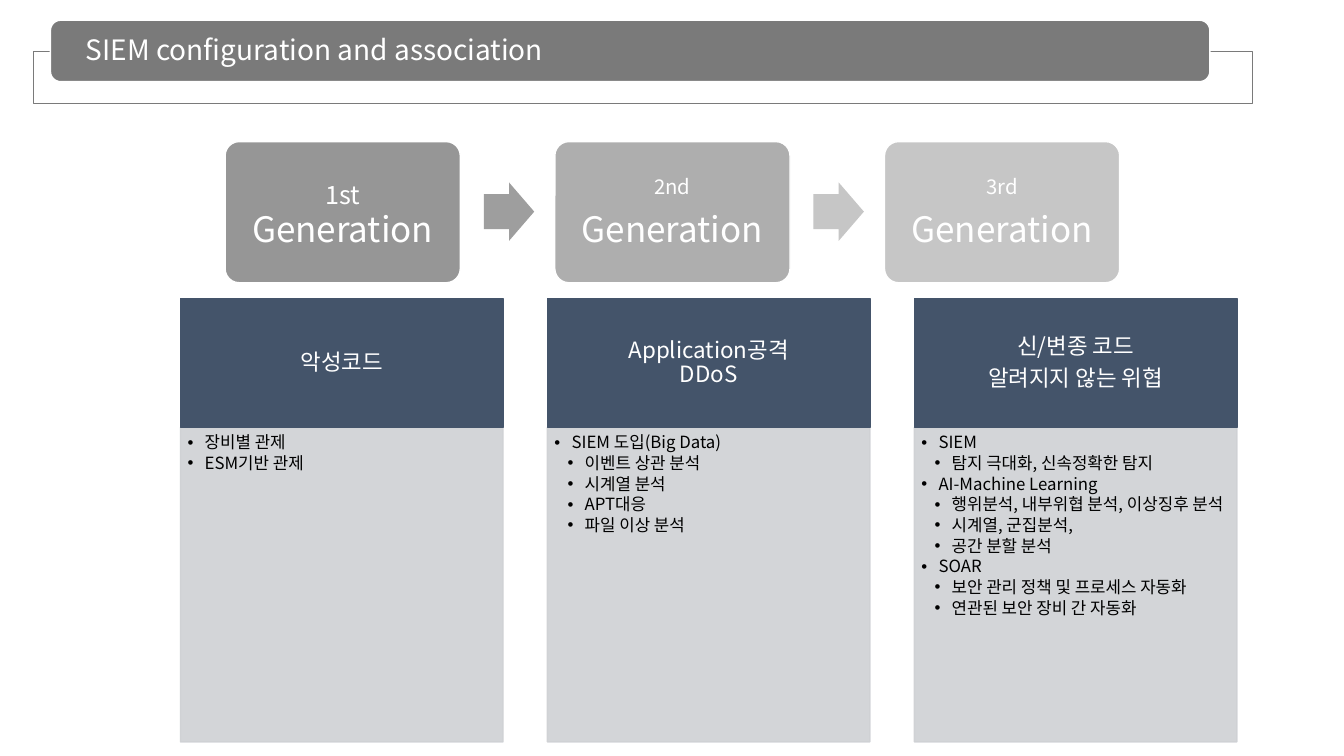
from lxml.etree import SubElement
from pptx import Presentation
from pptx.dml.color import RGBColor
from pptx.enum.shapes import MSO_SHAPE
from pptx.enum.text import MSO_ANCHOR, MSO_AUTO_SIZE, PP_ALIGN
from pptx.oxml.ns import qn
from pptx.util import Inches, Pt

FONT = "Noto Sans CJK KR"
WIDTH, HEIGHT = Inches(13.33), Inches(7.5)
BAR = (3.75, 2.67, 86.27, 8.13)
CARD_STEP, COLUMN_STEP = 24.53, 27.3

GENERATIONS = [("1st", "969696"), ("2nd", "AEAEAE"), ("3rd", "C6C6C6")]
ARROWS = ["9E9E9E", "C6C6C6"]
COLUMNS = [
    (["악성코드"], [(0, "장비별 관제"), (0, "ESM기반 관제")]),
    (["Application공격\vDDoS"],
     [(0, "SIEM 도입(Big Data)"), (1, "이벤트 상관 분석"), (1, "시계열 분석"),
      (1, "APT대응"), (1, "파일 이상 분석")]),
    (["신/변종 코드", "알려지지 않는 위협"],
     [(0, "SIEM"), (1, "탐지 극대화, 신속정확한 탐지"),
      (0, "AI-Machine Learning"), (1, "행위분석, 내부위협 분석, 이상징후 분석"),
      (1, "시계열, 군집분석,"), (1, "공간 분할 분석"),
      (0, "SOAR"), (1, "보안 관리 정책 및 프로세스 자동화"),
      (1, "연관된 보안 장비 간 자동화")]),
]


def area(x, y, w, h):
    """Turn percentages of the slide into left, top, width and height."""
    return [int(share * full / 100)
            for share, full in zip((x, y, w, h), (WIDTH, HEIGHT, WIDTH, HEIGHT))]


def place(sp, box):
    """Move a placeholder to an area given in percentages."""
    sp.left, sp.top, sp.width, sp.height = area(*box)


def color(target, value, alpha=None):
    """Colour a fill or font from a hex string, optionally see-through."""
    if hasattr(target, "solid"):
        target.solid()
        target = target.fore_color
    else:
        target = target.color
    target.rgb = RGBColor.from_string(value)
    if alpha:
        clr = target._xFill.find(qn("a:srgbClr"))
        SubElement(clr, qn("a:alpha"), val=str(alpha * 1000))


def paint(sp, fill, line=None, alpha=None, line_alpha=None):
    """Set the fill and outline of a shape."""
    color(sp.fill, fill, alpha)
    if line:
        sp.line.width = Pt(1)
        color(sp.line.fill, line, line_alpha)
    else:
        sp.line.fill.background()


def add_box(s, kind, box, fill, line=None, adj=(), alpha=None):
    """Add a preset shape without shadow."""
    sp = s.shapes.add_shape(kind, *area(*box))
    sp.shadow.inherit = False
    for i, value in enumerate(adj):
        sp.adjustments[i] = value
    paint(sp, fill, line, alpha)
    return sp


def set_frame(tf, left, top, anchor=MSO_ANCHOR.MIDDLE):
    """Set the insets, wrapping and anchor of a text frame."""
    tf.word_wrap = True
    tf.auto_size = MSO_AUTO_SIZE.NONE
    tf.vertical_anchor = anchor
    tf.margin_left = tf.margin_right = Inches(left)
    tf.margin_top = tf.margin_bottom = Inches(top)


def write(tf, text, size, fill="FFFFFF", align=PP_ALIGN.CENTER, after=0.35,
          level=None, new=False):
    """Write one paragraph, bulleted when it has a level."""
    p = tf.add_paragraph() if new else tf.paragraphs[0]
    p.text = text
    p.alignment = align
    p.line_spacing = 0.9
    p.space_before = Pt(0)
    p.space_after = Pt(size * after)
    if level is not None:
        p.level = level
        pPr = p._p.get_or_add_pPr()
        pPr.set("marL", str(Inches(0.17 + 0.13 * level)))
        pPr.set("indent", str(-Inches(0.17)))
        SubElement(pPr, qn("a:buFont"), typeface="Arial")
        SubElement(pPr, qn("a:buChar"), char="•")
    for r in p.runs:
        r.font.size = Pt(size)
        r.font.name = FONT
        r.font.bold = False
        color(r.font, fill)
        SubElement(r._r.get_or_add_rPr(), qn("a:ea"), typeface=FONT)
    return p


def add_title(s, text):
    """Draw the title bar with its frame and put the title on it."""
    add_box(s, MSO_SHAPE.RECTANGLE, (2.48, 6.8, 90.7, 6.93), "FFFFFF", "7A7A7A",
            alpha=90)
    bar = add_box(s, MSO_SHAPE.ROUNDED_RECTANGLE, BAR, "7A7A7A", "FFFFFF")
    title = s.shapes.title
    place(title, BAR)
    set_frame(title.text_frame, 0.35, 0)
    write(title.text_frame, text, 20, align=PP_ALIGN.LEFT)
    bar._element.addnext(title._element)


def add_generation(s, i, ordinal, fill):
    """Add one generation card, its ordinal smaller than its name."""
    sp = add_box(s, MSO_SHAPE.ROUNDED_RECTANGLE,
                 (16.75 + CARD_STEP * i, 18.73, 17.5, 18.67), fill, "FFFFFF", [0.1])
    set_frame(sp.text_frame, 0.12, 0.12)
    p = sp.text_frame.paragraphs[0]
    p.add_run()
    p = write(sp.text_frame, ordinal, 25)
    r = p.add_run()
    r.text = " Generation"
    r._r.insert(0, r._r.get_or_add_rPr())
    r.font.size = Pt(25)
    r.font.name = FONT
    color(r.font, "FFFFFF")
    if i:
        p.runs[0].font._element.set("baseline", "30000")
    else:
        p.runs[0].font.size = Pt(18)


def add_column(s, i, heading, items, body):
    """Add a heading box and fill the list placeholder below it."""
    x = 13.43 + COLUMN_STEP * i
    sp = add_box(s, MSO_SHAPE.RECTANGLE, (x, 39.47, 24, 17.07), "44546A", "44546A")
    set_frame(sp.text_frame, 0.12, 0.07)
    for n, text in enumerate(heading):
        write(sp.text_frame, text, 16, new=n > 0)
    place(body, (x, 56.53, 24, 41.6))
    paint(body, "CFD1D4", "CFD1D4", 90, 90)
    set_frame(body.text_frame, 0.07, 0.07, MSO_ANCHOR.TOP)
    for n, (level, text) in enumerate(items):
        write(body.text_frame, text, 12, "000000", PP_ALIGN.LEFT, 0.15, level, n > 0)


def main():
    """Build the slide and save it."""
    prs = Presentation()
    prs.slide_width, prs.slide_height = WIDTH, HEIGHT
    s = prs.slides.add_slide(prs.slide_layouts.get_by_name("Comparison"))
    *bodies, spare = [sp for sp in s.placeholders if sp.placeholder_format.idx]
    spare._element.getparent().remove(spare._element)
    add_title(s, "SIEM configuration and association")
    for i, (ordinal, fill) in enumerate(GENERATIONS):
        add_generation(s, i, ordinal, fill)
    for i, fill in enumerate(ARROWS):
        add_box(s, MSO_SHAPE.RIGHT_ARROW, (36 + CARD_STEP * i, 24.13, 3.75, 7.73),
                fill, adj=[0.6, 0.5])
    for i, ((heading, items), body) in enumerate(zip(COLUMNS, bodies)):
        add_column(s, i, heading, items, body)
    prs.save("out.pptx")


if __name__ == "__main__":
    main()
